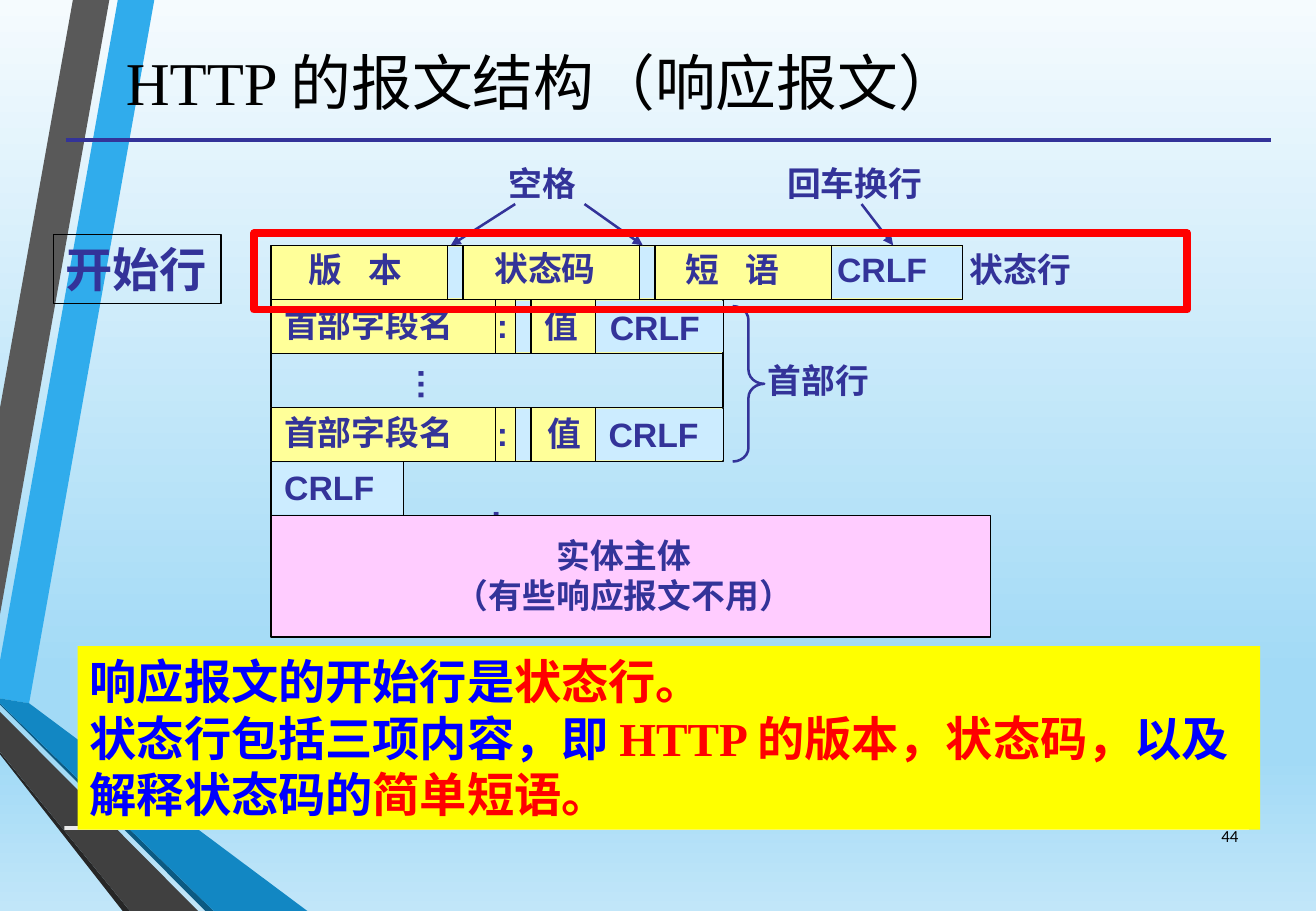
from dataclasses import dataclass
from lxml import etree
from pptx import Presentation, util as u
from pptx.dml.color import RGBColor
from pptx.enum import shapes, text
from pptx.oxml.ns import qn


@dataclass(frozen=True)
class Theme:
    ink: str = "333399"
    black: str = "000000"
    blue: str = "0000FF"
    red: str = "FF0000"
    field: str = "FFFF99"
    gap: str = "CCECFF"
    body: str = "FFCCFF"
    note: str = "FFFF00"
    sans: str = "Arial"
    serif: str = "Times New Roman"
    tag: str = "Cabin"
    number: str = "Calibri"
    title: int = 36
    big: int = 28
    label: int = 20
    small: int = 10
    hair: float = 0.75
    pen: float = 1.5
    rule: float = 2.25
    frame: float = 4.5


T = Theme()
W, H = 10.83, 7.5
LEFT, TOP, ROW = 2.23, 2.02, 0.445
HEADER_RIGHT, STATUS_RIGHT, BODY_RIGHT = 5.95, 7.92, 8.15
STATUS_COLS = [3.68, 3.81, 5.26, 5.39, 6.84]
HEADER_COLS = [4.08, 4.24, 4.37, 4.9]
HEADER_ROWS = [1, 3]

SKY = [(0, "F5FBFE"), (74, "A2DAF6"), (83, "A2DAF6"), (100, "C1E6F9")]
STRIP = [(0, "EBEBEB"), (100, "FFFFFF")]
RIBBONS = [
    ("30ACEC", [(0, 5.44), (0, 5.75), (0.24, 5.79), (1.27, 0), (0.97, 0)]),
    ("595959", [(0.9, 0), (0.6, 0), (0, 3.36), (0, 5.06)]),
    ("262626", [(0, 6.19), (0, 6.21), (1.01, H), (1.07, H)]),
    ("0C5A82", [(0, 5.79), (0, 5.8), (1.69, H), (1.76, H)]),
    ("1287C3", [(0, 5.79), (1.76, H), (2.53, H), (0.24, 5.79), (0, 5.75)]),
    ("404040", [(0, 6.19), (1.07, H), (1.63, H), (0, 5.86)]),
]
LABELS = [
    ("版 本", 2.44, 2.0), ("状态码", 3.97, 1.99), ("短 语", 5.54, 2.0),
    ("CRLF", 6.79, 2.0), ("状态行", 7.88, 2.0),
    ("首部字段名", 2.24, 2.45), (":", 3.99, 2.46), ("值", 4.38, 2.46), ("CRLF", 4.92, 2.48),
    ("首部字段名", 2.24, 3.34), (":", 3.99, 3.35), ("值", 4.41, 3.35), ("CRLF", 4.91, 3.36),
    ("CRLF", 2.24, 3.79), (":", 3.94, 4.03),
    ("空格", 4.09, 1.29), ("回车换行", 6.38, 1.29), ("首部行", 6.22, 2.91),
]
ARROWS = [(4.81, 5.29), (4.24, 3.71), (7.09, 7.35)]
BODY = [[("实体主体", T.ink)], [("（有些响应报文不用）", T.ink)]]
NOTE = [
    [("响应报文的开始行是", T.blue), ("状态行。", T.red)],
    [("状态行包括三项内容，即 ", T.blue), ("HTTP 的版本，状态码，", T.red),
     ("以及解释状态码的", T.blue), ("简单短语。", T.red)],
]
EM = {" ": 0.83, ":": 0.33, "C": 0.67, "R": 0.67, "L": 0.67, "F": 0.67}

prs = Presentation()
prs.slide_width, prs.slide_height = u.Inches(W), u.Inches(H)
s = prs.slides.add_slide(prs.slide_layouts[6])


def row(i):
    return TOP + i * ROW


def gradient(fill, stops, angle):
    fill.gradient()
    fill.gradient_angle = 0
    grad = fill._xPr.find(qn("a:gradFill"))
    grad.find(qn("a:lin")).set("ang", str(angle * 60000))
    gs_list = grad.find(qn("a:gsLst"))
    for gs in list(gs_list):
        gs_list.remove(gs)
    for pos, color in stops:
        gs = etree.SubElement(gs_list, qn("a:gs"), pos=str(pos * 1000))
        etree.SubElement(gs, qn("a:srgbClr"), val=color)


def paint(sp, fill=None, line=None, width=T.hair):
    sp.shadow.inherit = False
    if fill:
        sp.fill.solid()
        sp.fill.fore_color.rgb = RGBColor.from_string(fill)
    else:
        sp.fill.background()
    if line:
        sp.line.color.rgb = RGBColor.from_string(line)
        sp.line.width = u.Pt(width)
    else:
        sp.line.fill.background()
    return sp


def shape(x, y, w, h, fill=None, line=None, width=T.hair, kind=shapes.MSO_SHAPE.RECTANGLE):
    sp = s.shapes.add_shape(kind, *map(u.Inches, (x, y, w, h)))
    return paint(sp, fill, line, width)


def box(x, y, w, h):
    return s.shapes.add_textbox(*map(u.Inches, (x, y, w, h)))


def line(x1, y1, x2, y2, color=T.black, width=T.hair, arrow=False):
    c = s.shapes.add_connector(shapes.MSO_CONNECTOR.STRAIGHT, *map(u.Inches, (x1, y1, x2, y2)))
    c.line.color.rgb = RGBColor.from_string(color)
    c.line.width = u.Pt(width)
    if arrow:
        etree.SubElement(c.line._get_or_add_ln(), qn("a:tailEnd"), type="triangle")
    etree.SubElement(c._element.spPr, qn("a:effectLst"))


def write(sp, paragraphs, size, font, bold=True, align="LEFT", anchor="TOP", wrap=False):
    tf = sp.text_frame
    tf.word_wrap = wrap
    tf.vertical_anchor = text.MSO_ANCHOR[anchor]
    for i, runs in enumerate(paragraphs):
        p = tf.add_paragraph() if i else tf.paragraphs[0]
        p.alignment = text.PP_ALIGN[align]
        for words, color in runs:
            r = p.add_run()
            r.text = words
            r.font.size, r.font.name, r.font.bold = u.Pt(size), font, bold
            r.font.color.rgb = RGBColor.from_string(color)
    return sp


def label(words, x, y):
    w = 0.2 + 0.28 * sum(EM.get(ch, 1) for ch in words)
    sp = write(box(x, y, w, 0.44), [[(words, T.ink)]], T.label, T.sans)
    if " " in words:
        sp.text_frame.paragraphs[0].runs[0]._r.get_or_add_rPr().set("spc", "550")
    return sp


gradient(s.background.fill, SKY, 90)
for color, points in RIBBONS:
    start, *rest = [(u.Inches(x), u.Inches(y)) for x, y in points]
    fb = s.shapes.build_freeform(*start)
    fb.add_line_segments(rest, close=True)
    paint(fb.convert_to_shape(), color)
gradient(shape(0.53, 6.8, 9.75, 0.03).fill, STRIP, 0)
line(0.54, 1.15, 10.46, 1.15, T.ink, T.rule)
write(box(0.43, 0.05, 8.18, 1.24), [[("HTTP 的报文结构（响应报文） ", T.black)]],
      T.title, T.serif, False, "CENTER", "MIDDLE", True)

for i in reversed(HEADER_ROWS):
    shape(LEFT, row(i), HEADER_RIGHT - LEFT, ROW, T.field, T.black)
shape(LEFT, TOP, STATUS_RIGHT - LEFT, ROW, T.field, T.black)
gaps = [(i, a, b) for i in HEADER_ROWS for a, b in [(4.24, 4.37), (4.9, HEADER_RIGHT)]]
gaps += [(0, 3.68, 3.81), (0, 5.26, 5.39), (0, 6.84, STATUS_RIGHT), (4, LEFT, 3.32)]
for i, a, b in gaps:
    shape(a, row(i) + 0.01, b - a, ROW - 0.02, T.gap)
bars = [(0, x) for x in STATUS_COLS] + [(i, x) for i in HEADER_ROWS for x in HEADER_COLS]
bars += [(2, LEFT), (2, HEADER_RIGHT), (4, LEFT), (4, 3.32), (0, STATUS_RIGHT)]
for i, x in bars:
    line(x, row(i), x, row(i + 1))

for item in LABELS:
    label(*item)
label("…", 3.14, 2.94).rotation = 270
brace = shape(6.03, 2.52, 0.26, 1.28, None, T.ink, T.pen, shapes.MSO_SHAPE.RIGHT_BRACE)
brace.adjustments[0] = 0.44
for x1, x2 in ARROWS:
    line(x1, 1.68, x2, TOP, T.ink, T.pen, True)

shape(LEFT, row(5), BODY_RIGHT - LEFT, 1, T.body, T.black)
write(box(3.63, 4.35, 3.01, 0.77), BODY, T.label, T.sans, align="CENTER")
write(shape(0.64, 5.32, 9.73, 1.51, T.note), NOTE, T.big, T.serif, wrap=True)
shape(2.09, 1.92, 7.68, 0.63, None, T.red, T.frame)
write(shape(0.44, 1.93, 1.38, 0.57, None, T.black), [[("开始行", T.ink)]], T.big, T.tag)
write(box(9.78, 6.68, 0.51, 0.4), [[("44", T.black)]], T.small, T.number,
      False, "RIGHT", "MIDDLE", True)

prs.save("out.pptx")
